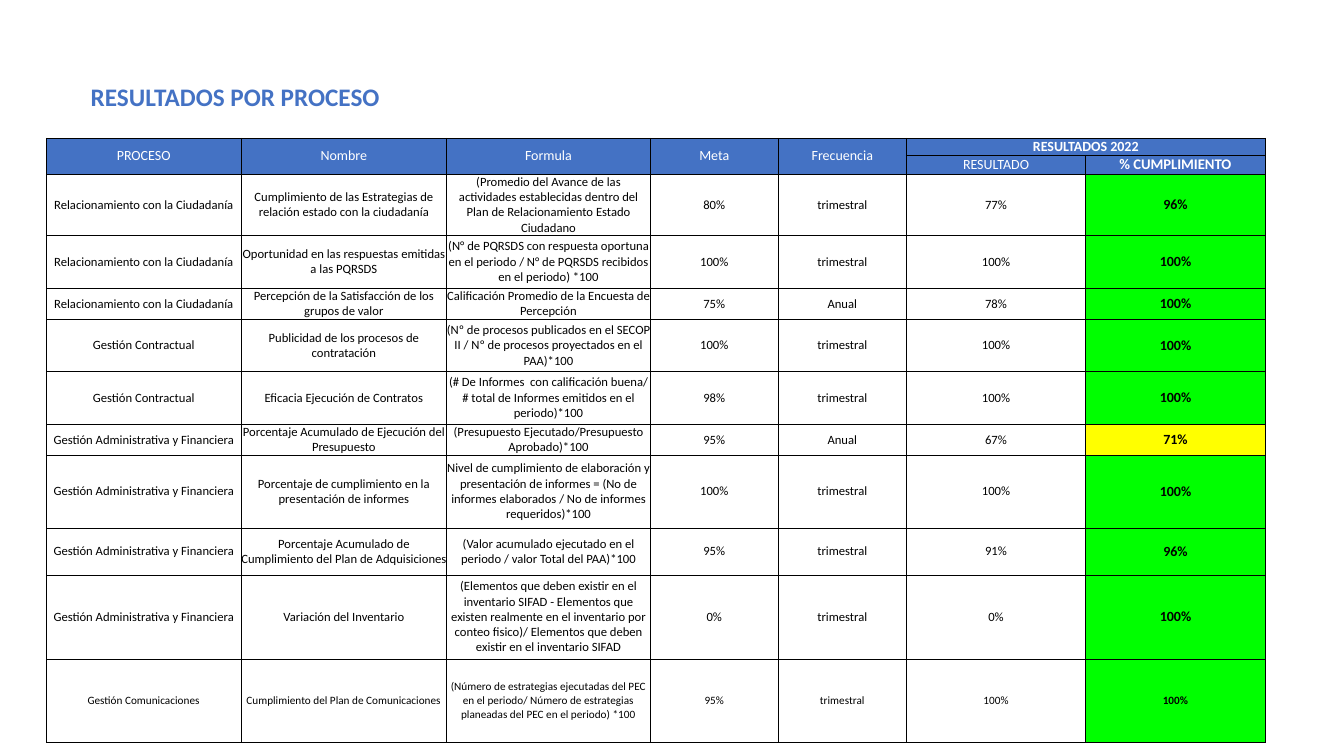
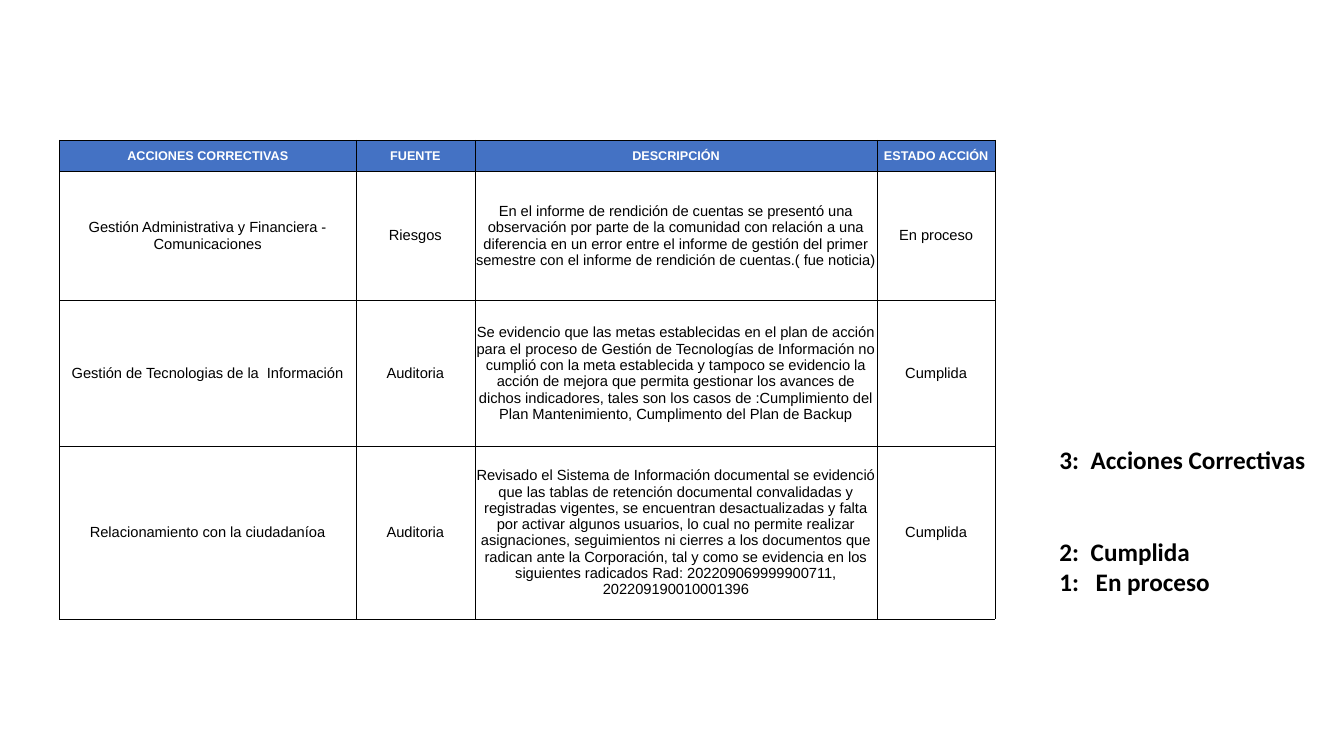
from dataclasses import dataclass

from lxml.etree import SubElement
from pptx import Presentation
from pptx.dml.color import RGBColor
from pptx.enum.text import MSO_ANCHOR, MSO_AUTO_SIZE, PP_ALIGN
from pptx.oxml.ns import qn
from pptx.util import Inches, Pt


@dataclass(frozen=True)
class Theme:
    # Colours
    blue: str = "4472C4"
    white: str = "FFFFFF"
    black: str = "000000"
    green: str = "00FF00"
    yellow: str = "FFFF00"
    # Fonts and sizes
    main: str = "Calibri"
    plain: str = "Arial"
    title: float = 18
    mark: float = 10.5
    head: float = 10
    body: float = 9
    small: float = 8
    rule: float = 0.5


@dataclass(frozen=True)
class Box:
    left: float
    top: float
    width: float
    height: float

    def place(self):
        return [Inches(v) for v in (self.left, self.top, self.width, self.height)]


@dataclass(frozen=True)
class Style:
    size: float
    font: str = Theme.main
    color: str = Theme.black
    fill: str = Theme.white
    bold: bool = False


THEME = Theme()

CITIZEN = "Relacionamiento con la Ciudadanía"
DEALS = "Gestión Contractual"
MONEY = "Gestión Administrativa y Financiera"

# Results: headings, rows and sizes
GOALS = [
    ("PROCESO", "Nombre", "Formula", "Meta", "Frecuencia", "RESULTADOS 2022", ""),
    ("", "", "", "", "", "RESULTADO", "% CUMPLIMIENTO"),
    (CITIZEN, "Cumplimiento de las Estrategias de relación estado con la ciudadanía",
     "(Promedio del Avance de las actividades establecidas dentro del Plan de "
     "Relacionamiento Estado Ciudadano", "80%", "trimestral", "77%", "96%"),
    (CITIZEN, "Oportunidad en las respuestas emitidas a las PQRSDS",
     "(N° de PQRSDS con respuesta oportuna en el periodo / N° de PQRSDS recibidos "
     "en el periodo) *100", "100%", "trimestral", "100%", "100%"),
    (CITIZEN, "Percepción de la Satisfacción de los grupos de valor",
     "Calificación Promedio de la Encuesta de Percepción",
     "75%", "Anual", "78%", "100%"),
    (DEALS, "Publicidad de los procesos de contratación",
     "(Nº de procesos publicados en el SECOP II / Nº de procesos proyectados "
     "en el PAA)*100", "100%", "trimestral", "100%", "100%"),
    (DEALS, "Eficacia Ejecución de Contratos",
     "(# De Informes  con calificación buena/ # total de Informes emitidos en el "
     "periodo)*100", "98%", "trimestral", "100%", "100%"),
    (MONEY, "Porcentaje Acumulado de Ejecución del Presupuesto",
     "(Presupuesto Ejecutado/Presupuesto Aprobado)*100",
     "95%", "Anual", "67%", "71%"),
    (MONEY, "Porcentaje de cumplimiento en la presentación de informes",
     "Nivel de cumplimiento de elaboración y presentación de informes = (No de "
     "informes elaborados / No de informes requeridos)*100",
     "100%", "trimestral", "100%", "100%"),
    (MONEY, "Porcentaje Acumulado de Cumplimiento del Plan de Adquisiciones",
     "(Valor acumulado ejecutado en el periodo / valor Total del PAA)*100",
     "95%", "trimestral", "91%", "96%"),
    (MONEY, "Variación del Inventario",
     "(Elementos que deben existir en el inventario SIFAD - Elementos que existen "
     "realmente en el inventario por conteo fisico)/ Elementos que deben existir "
     "en el inventario SIFAD", "0%", "trimestral", "0%", "100%"),
    ("Gestión Comunicaciones", "Cumplimiento del Plan de Comunicaciones",
     "(Número de estrategias ejecutadas del PEC en el periodo/ Número de "
     "estrategias planeadas del PEC en el periodo) *100",
     "95%", "trimestral", "100%", "100%"),
]
GOAL_COLS = (1.93, 2.04, 2.02, 1.27, 1.27, 1.78, 1.78)
GOAL_ROWS = (0.16, 0.19, 0.61, 0.52, 0.31, 0.52, 0.52, 0.31, 0.72, 0.47, 0.83, 0.83)

# Actions: headings, rows and sizes
ACTS = [
    ("ACCIONES CORRECTIVAS", "FUENTE", "DESCRIPCIÓN", "ESTADO ACCIÓN"),
    ("Gestión Administrativa y Financiera - Comunicaciones", "Riesgos",
     "En el informe de rendición de cuentas se presentó una observación por parte "
     "de la comunidad con relación a una diferencia en un error entre el informe de "
     "gestión del primer semestre con el informe de rendición de cuentas.( fue "
     "noticia)", "En proceso"),
    ("Gestión de Tecnologias de la  Información", "Auditoria",
     "Se evidencio que las metas establecidas en el plan de acción para el proceso "
     "de Gestión de Tecnologías de Información no cumplió con la meta establecida y "
     "tampoco se evidencio la acción de mejora que permita gestionar los avances de "
     "dichos indicadores, tales son los casos de :Cumplimiento del Plan "
     "Mantenimiento, Cumplimento del Plan de Backup", "Cumplida"),
    ("Relacionamiento con la ciudadaníoa", "Auditoria",
     "Revisado el Sistema de Información documental se evidenció que las tablas de "
     "retención documental convalidadas y registradas vigentes, se encuentran "
     "desactualizadas y falta por activar algunos usuarios, lo cual no permite "
     "realizar asignaciones, seguimientos ni cierres a los documentos que radican "
     "ante la Corporación, tal y como se evidencia en los siguientes radicados Rad: "
     "202209069999900711, 202209190010001396", "Cumplida"),
]
ACT_COLS = (2.94, 1.18, 3.99, 1.17)
ACT_ROWS = (0.31, 1.28, 1.45, 1.71)

# Legend: number, label, tab stop in inches, points before
KEYS = [
    ("3:", "Acciones Correctivas", 0.31, 0),
    ("2:", "Cumplida", 0.31, 44),
    ("1:", "En proceso", 0.36, 0),
]


def add_run(para, text, style):
    run = para.add_run()
    run.text = text
    font = run.font
    font.name, font.size, font.bold = style.font, Pt(style.size), style.bold
    font.color.rgb = RGBColor.from_string(style.color)


def add_rules(cell):
    props = cell._tc.get_or_add_tcPr()
    for side in ("lnL", "lnR", "lnT", "lnB"):
        line = SubElement(props, qn(f"a:{side}"), w=str(Pt(THEME.rule)))
        fill = SubElement(line, qn("a:solidFill"))
        SubElement(fill, qn("a:srgbClr"), val=THEME.black)


def fill_cell(cell, text, style):
    add_rules(cell)
    cell.fill.solid()
    cell.fill.fore_color.rgb = RGBColor.from_string(style.fill)
    cell.margin_left = cell.margin_right = cell.margin_top = cell.margin_bottom = 0
    cell.vertical_anchor = MSO_ANCHOR.MIDDLE
    if text:
        para = cell.text_frame.paragraphs[0]
        para.alignment = PP_ALIGN.CENTER
        add_run(para, text, style)


def add_grid(slide, left, top, cols, rows, data, pick):
    """Draw a ruled table; pick(row, col, text) gives each cell its style."""
    box = Box(left, top, sum(cols), sum(rows))
    table = slide.shapes.add_table(len(rows), len(cols), *box.place()).table
    for col, width in zip(table.columns, cols):
        col.width = Inches(width)
    for row, height in zip(table.rows, rows):
        row.height = Inches(height)
    for r, line in enumerate(data):
        for c, text in enumerate(line):
            fill_cell(table.cell(r, c), text, pick(r, c, text))
    return table


def add_title(slide, box, text):
    title = slide.shapes.title
    title.left, title.top, title.width, title.height = box.place()
    frame = title.text_frame
    frame.auto_size = MSO_AUTO_SIZE.NONE
    frame.vertical_anchor = MSO_ANCHOR.MIDDLE
    para = frame.paragraphs[0]
    para.alignment = PP_ALIGN.LEFT
    add_run(para, text, Style(THEME.title, color=THEME.blue, bold=True))


def add_legend(slide, box):
    frame = slide.shapes.add_textbox(*box.place()).text_frame
    frame.word_wrap = True
    for i, (mark, label, stop, gap) in enumerate(KEYS):
        para = frame.paragraphs[0] if i == 0 else frame.add_paragraph()
        tabs = SubElement(para._p.get_or_add_pPr(), qn("a:tabLst"))
        SubElement(tabs, qn("a:tab"), pos=str(Inches(stop)), algn="l")
        if gap:
            para.space_before = Pt(gap)
        add_run(para, f"{mark}\t{label}", Style(THEME.title, bold=True))


def goal_style(row, col, text):
    last = col == len(GOAL_COLS) - 1
    if row < 2:
        size = THEME.mark if row == 1 and last else THEME.head
        bold = last or (row == 0 and col == 5)
        return Style(size, color=THEME.white, fill=THEME.blue, bold=bold)
    size = THEME.small if row == len(GOALS) - 1 else THEME.body
    if not last:
        return Style(size)
    # Scores under 80% are flagged in yellow
    fill = THEME.yellow if int(text.rstrip("%")) < 80 else THEME.green
    size = THEME.head if size == THEME.body else size
    return Style(size, fill=fill, bold=True)


def act_style(row, col, text):
    if row == 0:
        return Style(THEME.body, THEME.plain, THEME.white, THEME.blue, True)
    return Style(THEME.mark, THEME.plain)


def add_goals(deck):
    slide = deck.slides.add_slide(deck.slide_layouts[5])
    add_title(slide, Box(0.8, 0.76, 10.28, 0.4), "RESULTADOS POR PROCESO")
    table = add_grid(slide, 0.46, 1.37, GOAL_COLS, GOAL_ROWS, GOALS, goal_style)
    # Two-level heading
    for col in range(5):
        table.cell(0, col).merge(table.cell(1, col))
    table.cell(0, 5).merge(table.cell(0, 6))


def add_acts(deck):
    slide = deck.slides.add_slide(deck.slide_layouts[6])
    add_grid(slide, 0.59, 1.39, ACT_COLS, ACT_ROWS, ACTS, act_style)
    add_legend(slide, Box(10.41, 4.36, 2.66, 1.62))


def main():
    deck = Presentation()
    deck.slide_width, deck.slide_height = Inches(13.33), Inches(7.5)
    add_goals(deck)
    add_acts(deck)
    deck.save("out.pptx")


if __name__ == "__main__":
    main()
